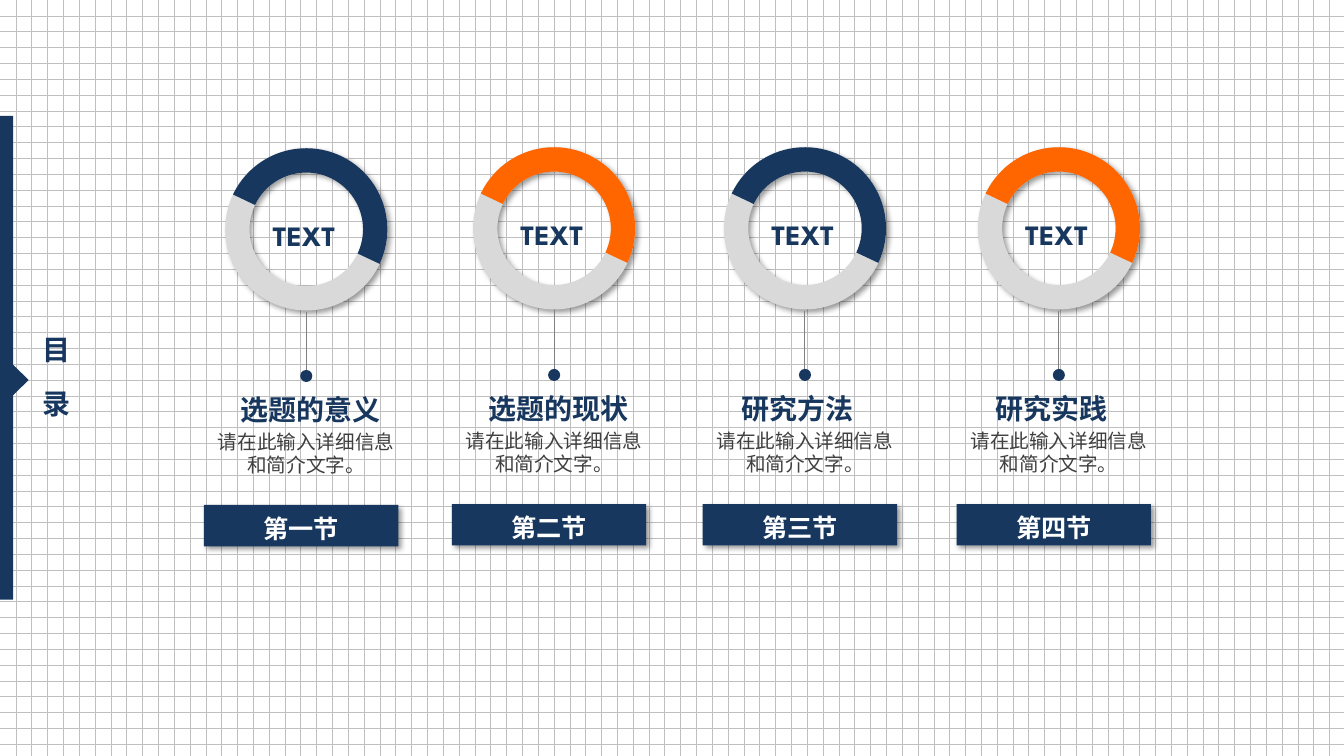
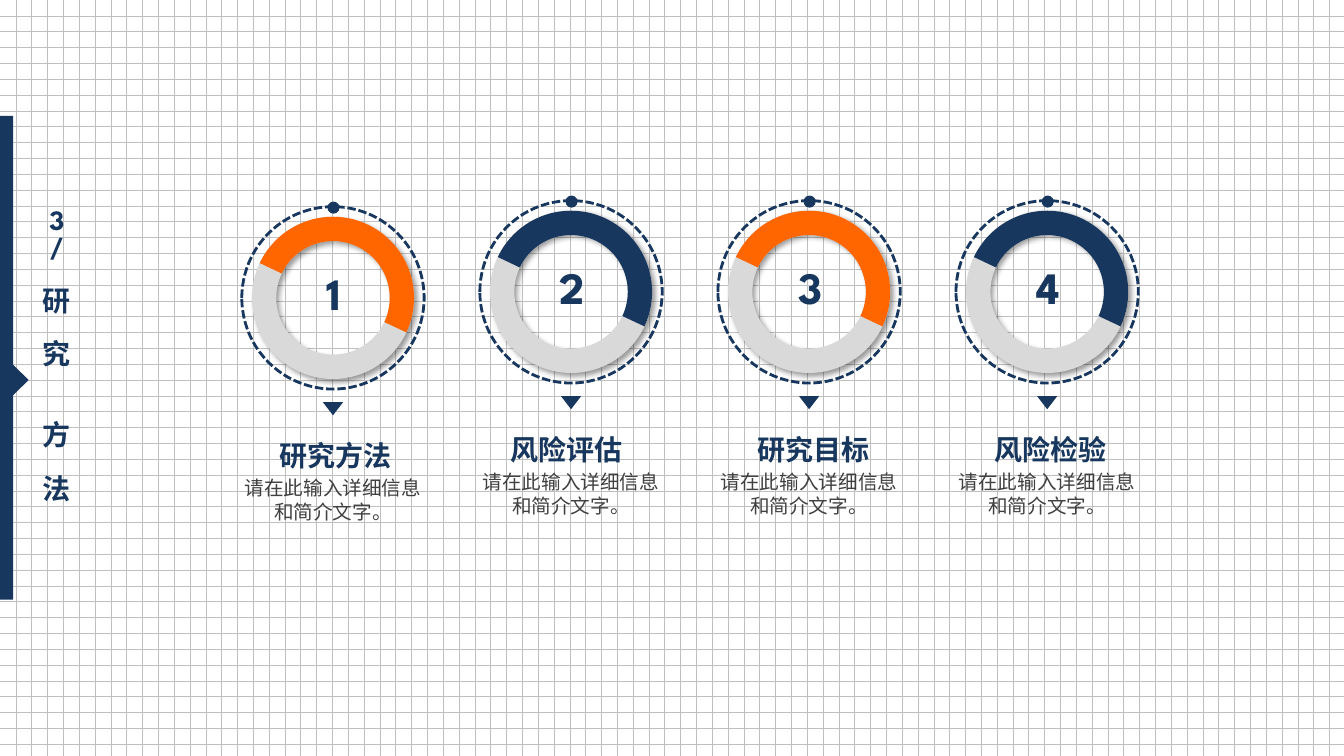
from lxml.etree import SubElement as Sub
from pptx import Presentation
from pptx.dml.color import RGBColor as RGB
from pptx.enum.dml import MSO_LINE as Dash, MSO_PATTERN as Pat
from pptx.enum.shapes import MSO_CONNECTOR as Link, MSO_SHAPE as Kind
from pptx.enum.text import MSO_ANCHOR as Anchor, MSO_AUTO_SIZE as Fit, PP_ALIGN as Align
from pptx.oxml.ns import qn
from pptx.util import Inches, Pt

COLORS = {"navy": "17375E", "orange": "FF6600", "ring": "D9D9D9", "line": "808080",
          "body": "404040", "grid": "BFBFBF", "white": "FFFFFF", "black": "000000"}
HEAD, BODY = "League Spartan", "Arial"
COLS, ROWS = 133.4, 75  # grid of tenths of an inch
RING, DOT = 16.1, 1.2
NOTE = "请在此输入详细信息\v和简介文字。"


def unit(n):
    return Inches(n / 10)


def hue(name):
    return RGB.from_string(COLORS[name])


class Deck:
    def __init__(self):
        self.prs = Presentation()
        self.prs.slide_width, self.prs.slide_height = unit(COLS), unit(ROWS)

    def page(self, marks, top, height):
        """Start a slide with grid, side band and upright title."""
        self.slide = self.prs.slides.add_slide(self.prs.slide_layouts[5])
        self.shapes = self.slide.shapes
        fill = self.slide.background.fill
        fill.patterned()
        fill.pattern = Pat.DOTTED_GRID
        fill.fore_color.rgb, fill.back_color.rgb = hue("grid"), hue("white")
        self.shape(Kind.RECTANGLE, 0.65, 35.5, 1.3, 48, "navy")
        self.shape(Kind.ISOSCELES_TRIANGLE, 2.05, 37.7, 3.1, 1.6, "navy", turn=90)
        # Title: one mark a line, each with its own gap above
        title = self.shapes.title
        title.left, title.top = unit(2.9), unit(top)
        title.width, title.height = unit(5.5), unit(height)
        self.style(title.text_frame, "\n".join(mark for mark, _ in marks), 20)
        for para, (_, gap) in zip(title.text_frame.paragraphs, marks):
            para.space_before = Pt(gap)

    def style(self, frame, text, size, color="navy", font=HEAD, bold=True, space=0.8):
        frame.word_wrap = True
        frame.auto_size = Fit.NONE
        frame.vertical_anchor = Anchor.TOP
        frame.text = text
        for para in frame.paragraphs:
            para.alignment = Align.CENTER
            para.line_spacing = space
            para.font.size, para.font.bold = Pt(size), bold
            para.font.name, para.font.color.rgb = font, hue(color)

    def text(self, text, x, top, w, h, size, **look):
        """Text box centred on column x."""
        box = self.shapes.add_textbox(unit(x - w / 2), unit(top), unit(w), unit(h))
        self.style(box.text_frame, text, size, **look)

    def shape(self, kind, x, y, w, h, fill=None, turn=0, shade=False):
        """Preset shape centred on column x and row y."""
        item = self.shapes.add_shape(kind, unit(x - w / 2), unit(y - h / 2), unit(w), unit(h))
        item.rotation = turn
        item.shadow.inherit = False
        item.line.fill.background()
        if fill:
            item.fill.solid()
            item.fill.fore_color.rgb = hue(fill)
        else:
            item.fill.background()
        if shade:
            self.shade(item)
        return item

    def shade(self, item):
        effects = item.element.spPr.find(qn("a:effectLst"))
        drop = Sub(effects, qn("a:outerShdw"), blurRad=str(Pt(4)), dist=str(Pt(3)),
                   dir="2700000", algn="tl", rotWithShape="0")
        tint = Sub(drop, qn("a:srgbClr"), val=COLORS["black"])
        Sub(tint, qn("a:alpha"), val="40000")

    def arc(self, x, y, fill, turn, ends, shade=False):
        item = self.shape(Kind.BLOCK_ARC, x, y, RING, RING, fill, turn, shade)
        for i, value in enumerate((*ends, 0.15)):
            item.adjustments[i] = value

    def ring(self, x, y, fill):
        self.arc(x, y, "ring", 90, (108, 107.3), shade=True)
        self.arc(x, y, fill, 236.5, (197.36, 89.21))

    def dot(self, x, y):
        self.shape(Kind.OVAL, x, y, DOT, DOT, "navy")

    def stem(self, x, top, end):
        line = self.shapes.add_connector(Link.STRAIGHT, unit(x), unit(top), unit(x), unit(end))
        line.line.color.rgb, line.line.width = hue("line"), Pt(0.75)
        Sub(line._element.spPr, qn("a:effectLst"))

    def orbit(self, x, y):
        line = self.shape(Kind.OVAL, x, y, 18.1, 18.1).line
        line.color.rgb, line.width = hue("navy"), Pt(2)
        line.dash_style = Dash.SQUARE_DOT

    def bar(self, text, x, y):
        item = self.shape(Kind.RECTANGLE, x, y, 19.3, 4.1, "navy", shade=True)
        self.style(item.text_frame, text, 18, "white")
        item.text_frame.vertical_anchor = Anchor.MIDDLE
        item.text_frame.margin_top = unit(1.6)

    def topic(self, text, x, top, nudge):
        """Heading with its note below."""
        self.text(text, x + nudge, top, 25.7, 3.7, 20)
        self.text(NOTE, x, top + 3.05, 22.3, 5.7, 14, color="body", font=BODY,
                  bold=False, space=1)


def contents(deck):
    deck.page([("目", 0), ("录", 19.3)], 33.1, 9.1)
    # Centre column and row, heading, heading nudge, bar label, ring colour
    parts = [(30.4, 22.75, "选题的意义", 0.4, "第一节", "navy"),
             (55, 22.65, "选题的现状", 0.4, "第二节", "orange"),
             (79.9, 22.65, "研究方法", -0.7, "第三节", "navy"),
             (105.1, 22.65, "研究实践", -0.7, "第四节", "orange")]
    for x, y, head, nudge, label, fill in parts:
        deck.ring(x, y, fill)
        deck.stem(x, y + 8.25, y + 13.95)
        deck.dot(x, y + 14.55)
        deck.bar(label, x - 0.5, y + 29.4)
        deck.topic(head, x, y + 16.35, nudge)
        deck.text("TEXT", x - 0.2, y - 0.95, 12.4, 3.7, 20)


def methods(deck):
    deck.page([("3", 0), ("/", 0), ("研", 19.3), ("究", 19.3), ("方", 38.6), ("法", 19.3)],
              20.2, 27.9)
    # Centre row, heading, heading nudge, ring colour
    parts = [(29.55, "研究方法", 0.3, "orange"), (28.95, "风险评估", -0.4, "navy"),
             (28.95, "研究目标", 0.4, "orange"), (28.95, "风险检验", 0.3, "navy")]
    for i, (y, head, nudge, fill) in enumerate(parts):
        x = 33.05 + 23.63 * i
        deck.ring(x, y, fill)
        deck.dot(x + 0.05, y - 8.95)
        deck.topic(head, x, y + 14.15, nudge)
        deck.text(str(i + 1), x + 0.1, y - 2.65, 12.4, 5.3, 32)
        deck.orbit(x, y)
        deck.shape(Kind.ISOSCELES_TRIANGLE, x, y + 11, 2, 1.3, "navy", turn=180)


def main():
    deck = Deck()
    contents(deck)
    methods(deck)
    deck.prs.save("out.pptx")


if __name__ == "__main__":
    main()
